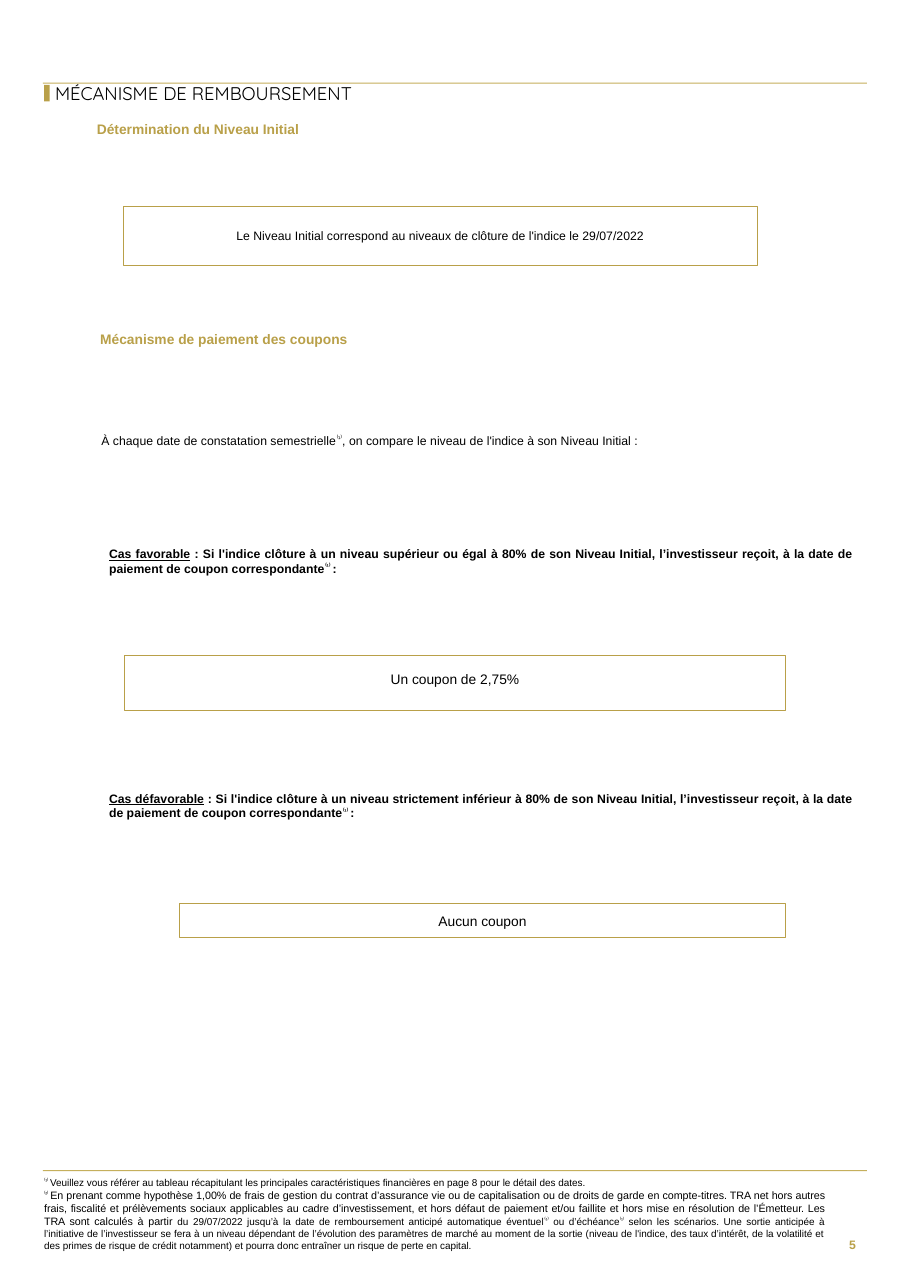
from dataclasses import dataclass

from pptx import Presentation
from pptx import util as u
from pptx.dml.color import RGBColor
from pptx.enum import shapes, text

PX = 9144  # 100 px to the inch
GOLD, RULE, BLACK, WHITE = "B9A049", "C5AF5C", "000000", "FFFFFF"
LEFT, MID = text.PP_ALIGN.LEFT, text.PP_ALIGN.CENTER
RIGHT, FULL = text.PP_ALIGN.RIGHT, text.PP_ALIGN.JUSTIFY


@dataclass
class Run:
    words: str
    sup: bool = False
    under: bool = False
    size: float | None = None


@dataclass
class Label:
    box: tuple[int, int, int, int]
    paras: list[list[Run]]
    size: float = 8
    align: int = FULL
    color: str = BLACK
    bold: bool = False
    font: str = "Arial"
    inset: tuple[int, int, int, int] = (0, 0, 0, 0)
    middle: bool = False


@dataclass
class Frame:
    label: Label
    width: float
    fill: str | None = WHITE


def emu(box: tuple[int, ...]) -> list[u.Emu]:
    return [u.Emu(n * PX) for n in box]


def rgb(code: str) -> RGBColor:
    return RGBColor.from_string(code)


def write(shape, label: Label) -> None:
    frame = shape.text_frame
    frame.word_wrap = True
    frame.auto_size = text.MSO_AUTO_SIZE.NONE
    anchor = text.MSO_ANCHOR
    frame.vertical_anchor = anchor.MIDDLE if label.middle else anchor.TOP
    (frame.margin_left, frame.margin_top,
     frame.margin_right, frame.margin_bottom) = emu(label.inset)
    for i, runs in enumerate(label.paras):
        para = frame.add_paragraph() if i else frame.paragraphs[0]
        para.alignment = label.align
        font = para.font
        font.name, font.size, font.bold = label.font, u.Pt(label.size), label.bold
        font.color.rgb = rgb(label.color)
        for part in runs:
            run = para.add_run()
            run.text = part.words
            if part.size:
                run.font.size = u.Pt(part.size)
            if part.under:
                run.font.underline = True
            if part.sup:
                run._r.get_or_add_rPr().set("baseline", "30000")


def rect(slide, box: tuple[int, int, int, int], fill: str | None):
    shape = slide.shapes.add_shape(shapes.MSO_SHAPE.RECTANGLE, *emu(box))
    shape.shadow.inherit = False
    if fill:
        shape.fill.solid()
        shape.fill.fore_color.rgb = rgb(fill)
    else:
        shape.fill.background()
    shape.line.fill.background()
    return shape


def outline(slide, item: Frame) -> None:
    shape = rect(slide, item.label.box, item.fill)
    shape.line.color.rgb = rgb(GOLD)
    shape.line.width = u.Pt(item.width)
    write(shape, item.label)


def head(x: int, y: int, words: str) -> Label:
    return Label((x, y, 657, 18), [[Run(words)]], 9, LEFT, GOLD, True)


def case(y: int, name: str, level: str) -> Label:
    rest = (f" : Si l'indice clôture à un niveau {level} à 80% de son Niveau Initial, "
            "l’investisseur reçoit, à la date de paiement de coupon correspondante")
    runs = [Run(name, under=True), Run(rest), Run("⁽¹⁾ ", sup=True), Run(":")]
    return Label((99, y, 676, 27), [runs], bold=True)


NOTES = [
    [Run("⁽¹⁾ ", sup=True),
     Run("Veuillez vous référer au tableau récapitulant les principales "
         "caractéristiques financières en page 8 pour le détail des dates.")],
    [Run("⁽²⁾ ", sup=True),
     Run("En prenant comme hypothèse 1,00% de frais de gestion du contrat d’assurance vie "
         "ou de capitalisation ou de droits de garde en compte-titres. TRA net hors autres "
         "frais, fiscalité et prélèvements sociaux applicables au cadre d’investissement, et "
         "hors défaut de paiement et/ou faillite et hors mise en résolution de l’Émetteur. "
         "Les TRA sont calculés à partir ", size=7),
     Run("du 29/07/2022 jusqu’à la date de remboursement anticipé automatique éventuel"),
     Run("⁽¹⁾", sup=True),
     Run(" ou d’échéance"),
     Run("⁽¹⁾", sup=True),
     Run(" selon les scénarios. Une sortie anticipée à l’initiative de l’investisseur se "
         "fera à un niveau dépendant de l’évolution des paramètres de marché au moment de la "
         "sortie (niveau de l'indice, des taux d’intérêt, de la volatilité et des primes "
         "de risque de crédit notamment) et pourra donc entraîner un risque de perte en "
         "capital.")],
]

LABELS = [
    head(88, 110, "Détermination du Niveau Initial"),
    head(91, 300, "Mécanisme de paiement des coupons"),
    Label((92, 393, 657, 13), [[
        Run("À chaque date de constatation semestrielle"), Run("⁽¹⁾", sup=True),
        Run(", on compare le niveau de l'indice à son Niveau Initial :")]]),
    case(496, "Cas favorable", "supérieur ou égal"),
    case(718, "Cas défavorable", "strictement inférieur"),
    Label((40, 1068, 709, 68), NOTES, 6.5),
    Label((748, 1109, 39, 42), [[Run("5")]], 8, RIGHT, GOLD, True,
          inset=(10, 5, 10, 5), middle=True),
]

FRAMES = [
    Frame(Label((112, 187, 576, 54), [[Run(
        "Le Niveau Initial correspond au niveaux de clôture de l'indice le 29/07/2022")]],
        8, MID, inset=(12, 20, 12, 20), middle=True), 0.5, None),
    Frame(Label((113, 595, 600, 50), [[Run("Un coupon de 2,75%")]],
                9, MID, inset=(12, 8, 12, 15), middle=True), 0.75),
    Frame(Label((163, 820, 550, 31), [[Run("Aucun coupon")]],
                9, MID, inset=(12, 8, 12, 8), middle=True), 0.75),
]


def main() -> None:
    deck = Presentation()
    deck.slide_width, deck.slide_height = emu((827, 1169))
    slide = deck.slides.add_slide(deck.slide_layouts[5])

    # Page rules and title marker
    for y in (75, 1062):
        rect(slide, (39, y, 748, 1), RULE)
    rect(slide, (40, 77, 5, 15), GOLD)

    # Title
    name = Label((50, 73, 421, 25), [[Run("MÉCANISME DE REMBOURSEMENT")]],
                 12, LEFT, font="Quicksand", middle=True)
    title = slide.shapes.title
    title.left, title.top, title.width, title.height = emu(name.box)
    write(title, name)
    title.text_frame.paragraphs[0].line_spacing = 0.9

    # Framed outcomes, then running text, notes and page number
    for item in FRAMES:
        outline(slide, item)
    for label in LABELS:
        write(slide.shapes.add_textbox(*emu(label.box)), label)

    deck.save("out.pptx")


if __name__ == "__main__":
    main()
